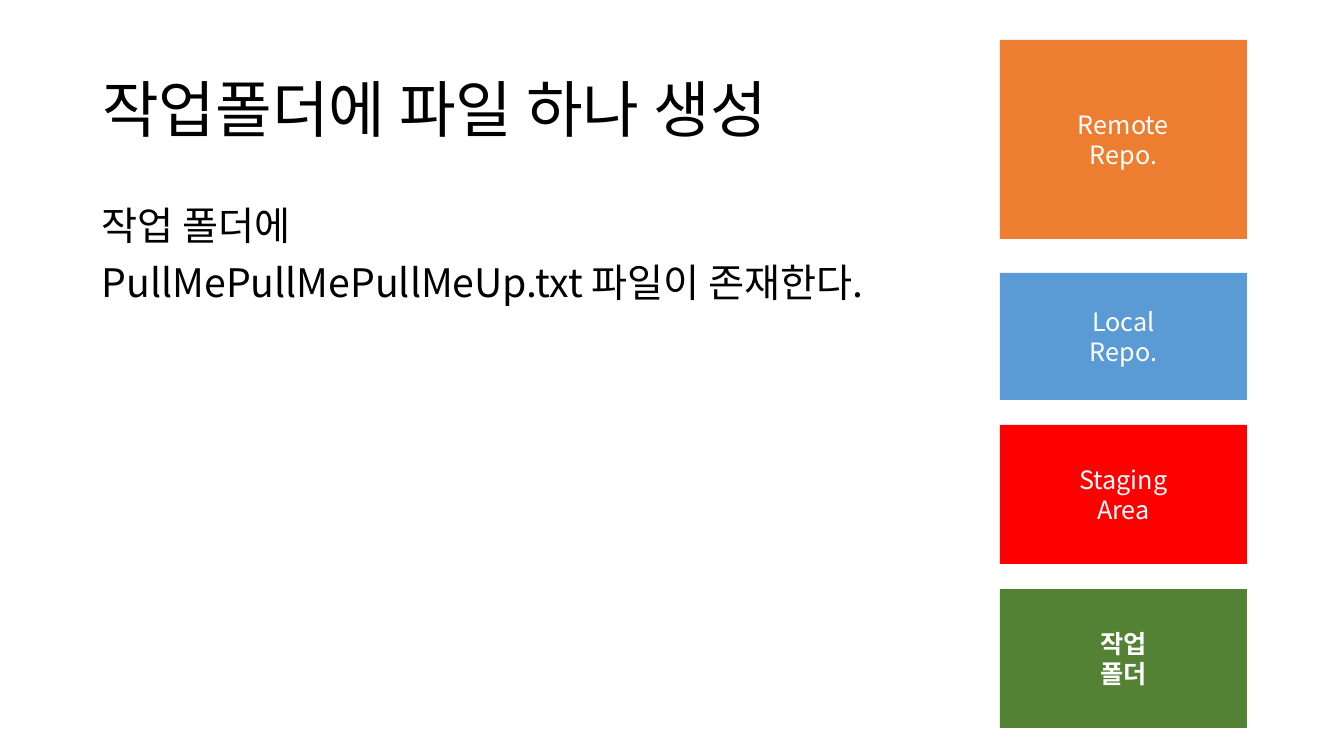
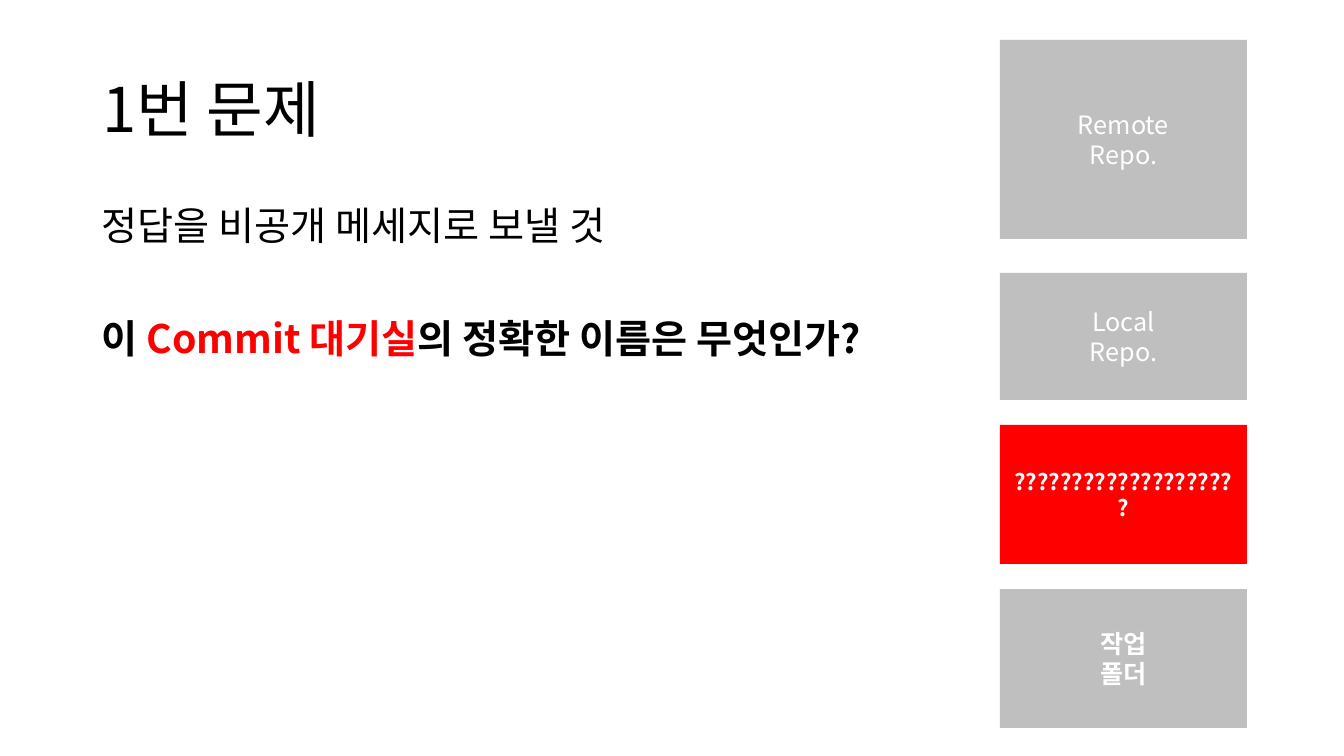
import pptx
import pptx.dml.color
import pptx.enum.shapes
import pptx.enum.text
import pptx.oxml
import pptx.oxml.ns
import pptx.util

PX = 12192000 / 1344
FONT = "Noto Sans CJK KR"
BLACK, WHITE, RED, GREY = "000000", "FFFFFF", "FF0000", "BFBFBF"
ALIGN = pptx.enum.text.PP_ALIGN
ANCHOR = pptx.enum.text.MSO_ANCHOR


def px(*lengths):
    return [pptx.util.Emu(round(length * PX)) for length in lengths]


def style(run, size, colour, bold=False):
    run.font.size = pptx.util.Pt(size)
    run.font.bold = bold
    run.font.name = FONT
    run.font.color.rgb = pptx.dml.color.RGBColor.from_string(colour)
    east_asian = pptx.oxml.parse_xml(
        f'<a:ea {pptx.oxml.ns.nsdecls("a")} typeface="{FONT}"/>')
    run.font._element.find(pptx.oxml.ns.qn("a:latin")).addnext(east_asian)


stage_left, stage_width = 1000, 247
stage_rows = [(40, 199), (273, 127), (425, 139), (589, 139)]
remote = ("Remote\nRepo.", 18, False)
local = ("Local\nRepo.", 18, False)
staging = ("Staging\nArea", 18, False)
hidden_name = ("?" * 20, 16, True)
folder = ("작업\n폴더", 18, True)

pages = [
    {
        "title": "작업폴더에 파일 하나 생성",
        "body": [
            (10, [("작업 폴더에", BLACK, False)]),
            (10, [("PullMePullMePullMeUp.txt 파일이 존재한다.", BLACK, False)]),
        ],
        "stages": [remote, local, staging, folder],
        "fills": ["ED7D31", "5B9BD5", RED, "548235"],
    },
    {
        "title": "1번 문제",
        "body": [
            (10, [("정답을 비공개 메세지로 보낼 것", BLACK, False)]),
            (50, [("이 ", BLACK, True), ("Commit 대기실", RED, True),
                  ("의 정확한 이름은 무엇인가?", BLACK, True)]),
        ],
        "stages": [remote, local, hidden_name, folder],
        "fills": [GREY, GREY, RED, GREY],
    },
]

deck = pptx.Presentation()
deck.slide_width, deck.slide_height = px(1344, 756)

for page in pages:
    slide = deck.slides.add_slide(deck.slide_layouts[5])

    title = slide.shapes.title
    title.left, title.top, title.width, title.height = px(92, 40, 1159, 146)
    title.text_frame.text = page["title"]
    title.text_frame.vertical_anchor = ANCHOR.MIDDLE
    heading = title.text_frame.paragraphs[0]
    heading.alignment = ALIGN.LEFT
    heading.line_spacing = 0.9
    style(heading.runs[0], 44, BLACK)

    body = slide.shapes.add_textbox(*px(92, 202, 1159, 480)).text_frame
    body.word_wrap = True
    for index, (space, pieces) in enumerate(page["body"]):
        line = body.add_paragraph() if index else body.paragraphs[0]
        line.line_spacing = 0.9
        line.space_before = pptx.util.Pt(space)
        for text, colour, bold in pieces:
            piece = line.add_run()
            piece.text = text
            style(piece, 28, colour, bold)

    for (top, height), (label, size, bold), fill in zip(
            stage_rows, page["stages"], page["fills"]):
        stage = slide.shapes.add_shape(
            pptx.enum.shapes.MSO_SHAPE.RECTANGLE,
            *px(stage_left, top, stage_width, height))
        stage.shadow.inherit = False
        stage.fill.solid()
        stage.fill.fore_color.rgb = pptx.dml.color.RGBColor.from_string(fill)
        stage.line.fill.background()
        stage.text_frame.text = label
        stage.text_frame.word_wrap = True
        stage.text_frame.vertical_anchor = ANCHOR.MIDDLE
        for line in stage.text_frame.paragraphs:
            line.alignment = ALIGN.CENTER
            style(line.runs[0], size, WHITE, bold)

deck.save("out.pptx")
